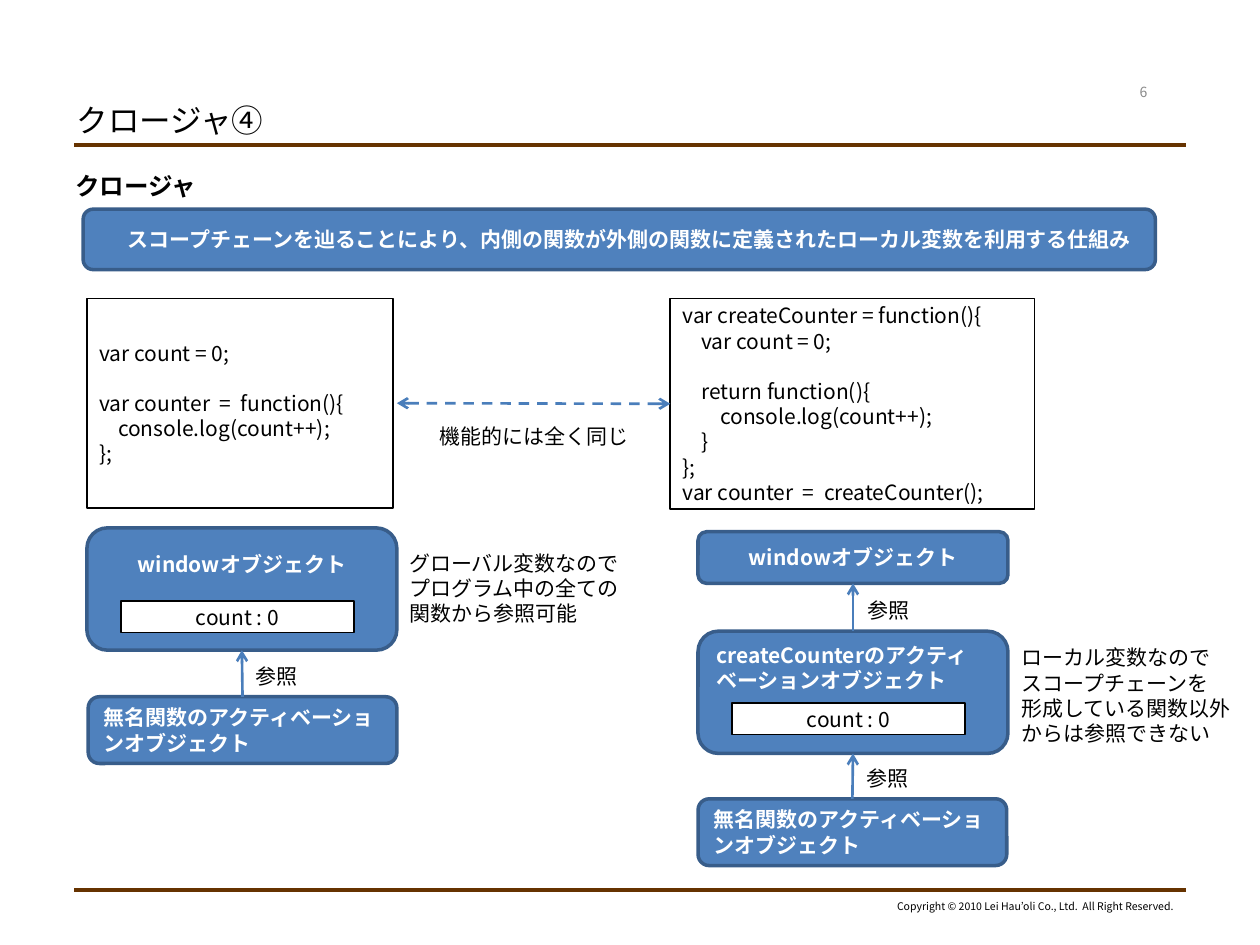
"""Build the slide that compares a global counter with a closure counter."""
from lxml import etree
from pptx import Presentation
from pptx import util as u
from pptx.dml.color import RGBColor
from pptx.enum import dml, shapes, text
from pptx.oxml.ns import qn

BLACK = RGBColor(0x00, 0x00, 0x00)
WHITE = RGBColor(0xFF, 0xFF, 0xFF)
GRAY = RGBColor(0x89, 0x89, 0x89)
BROWN = RGBColor(0x66, 0x33, 0x00)
BLUE = RGBColor(0x4F, 0x81, 0xBD)
NAVY = RGBColor(0x38, 0x5D, 0x8A)
ARROW_BLUE = RGBColor(0x4A, 0x7E, 0xBB)

SANS = "Noto Sans CJK JP"
MONO = "Courier New"
LEFT, CENTER, RIGHT = text.PP_ALIGN.LEFT, text.PP_ALIGN.CENTER, text.PP_ALIGN.RIGHT
TOP, MIDDLE = text.MSO_ANCHOR.TOP, text.MSO_ANCHOR.MIDDLE
TOP_SIDE, BOTTOM_SIDE = 0, 2

GLOBAL_CODE = """var count = 0;

var counter  =  function(){
    console.log(count++);
};"""
CLOSURE_CODE = """var createCounter = function(){
    var count = 0;

    return function(){
        console.log(count++);
    }
};
var counter  =  createCounter();"""
ANONYMOUS = "無名関数のアクティベーションオブジェクト"


def write(frame, words, size=12, font=SANS, color=BLACK, bold=False,
          align=LEFT, anchor=TOP, wrap=True, inset=0.05):
    """Fill a text frame, one paragraph to a line, in a single format."""
    frame.word_wrap = wrap
    frame.vertical_anchor = anchor
    frame.margin_left = frame.margin_right = u.Inches(0.1)
    frame.margin_top, frame.margin_bottom = u.Inches(inset), u.Inches(0.05)
    for number, line in enumerate(words.split("\n")):
        paragraph = frame.add_paragraph() if number else frame.paragraphs[0]
        paragraph.alignment = align
        if not line:
            etree.SubElement(paragraph._p, qn("a:endParaRPr"), sz=str(size * 100))
            continue
        run = paragraph.add_run()
        run.text = line
        run.font.size = u.Pt(size)
        run.font.bold = bold
        run.font.color.rgb = color
        run.font.name = font
        etree.SubElement(run._r.get_or_add_rPr(), qn("a:ea"), typeface=SANS)


class Board:
    """Hold the style and the current slide."""

    def __init__(self, slide):
        self.slide = slide
        self.border = {"object": 2, "plain": 1}
        self.arrow_width = 1.5
        self.rule_width = 2.25

    def label(self, words, left, top, width, height, **style):
        """Add a text box."""
        box = self.slide.shapes.add_textbox(*map(u.Inches, (left, top, width, height)))
        write(box.text_frame, words, **style)

    def outline(self, preset, place, fill, line, width):
        """Add a preset shape with its fill and border."""
        shape = self.slide.shapes.add_shape(preset, *map(u.Inches, place))
        shape.shadow.inherit = False
        if fill is None:
            shape.fill.background()
        else:
            shape.fill.solid()
            shape.fill.fore_color.rgb = fill
        shape.line.color.rgb = line
        shape.line.width = u.Pt(width)
        return shape

    def object_box(self, words, *place, **style):
        """Add a blue rounded box with bold white text."""
        shape = self.outline(shapes.MSO_SHAPE.ROUNDED_RECTANGLE, place, BLUE, NAVY,
                             self.border["object"])
        write(shape.text_frame, words, color=WHITE, bold=True,
              **{"anchor": MIDDLE, **style})
        return shape

    def plain_box(self, words, *place, fill=None, align=LEFT):
        """Add a black-bordered rectangle."""
        shape = self.outline(shapes.MSO_SHAPE.RECTANGLE, place, fill, BLACK,
                             self.border["plain"])
        write(shape.text_frame, words, anchor=MIDDLE, align=align)
        return shape

    def line(self, start, end, color, width):
        """Add a straight connector."""
        link = self.slide.shapes.add_connector(
            shapes.MSO_CONNECTOR.STRAIGHT, *map(u.Inches, (*start, *end)))
        link.line.color.rgb = color
        link.line.width = u.Pt(width)
        etree.SubElement(link._element.spPr, qn("a:effectLst"))
        return link

    def rule(self, height):
        """Add a brown line across the slide."""
        self.line((0.59, height), (9.41, height), BROWN, self.rule_width)

    def arrow(self, start, end, both=False):
        """Add a blue arrow, dashed when it points both ways."""
        link = self.line(start, end, ARROW_BLUE, self.arrow_width)
        if both:
            link.line.dash_style = dml.MSO_LINE.DASH
        for tip in ("a:headEnd", "a:tailEnd") if both else ("a:tailEnd",):
            etree.SubElement(link.line._get_or_add_ln(), qn(tip), type="arrow")
        return link

    def reference(self, source, target, left, top):
        """Join two objects with an upward arrow and its label."""
        link = self.arrow((0, 0), (0, 0))
        link.begin_connect(source, TOP_SIDE)
        link.end_connect(target, BOTTOM_SIDE)
        self.label("参照", left, top, 0.53, 0.3, font=MONO, wrap=False)


def main():
    """Draw the slide and save it."""
    deck = Presentation()
    deck.slide_width, deck.slide_height = u.Inches(10), u.Inches(7.5)
    board = Board(deck.slides.add_slide(deck.slide_layouts[6]))

    for height in (1.15, 7.06):
        board.rule(height)
    board.label("Copyright © 2010 Lei Hau’oli Co., Ltd.  All Right Reserved.",
                6.99, 7.09, 2.42, 0.2, size=6, align=RIGHT, wrap=False)
    board.label("クロージャ④", 0.51, 0.76, 5.68, 0.39, size=18, anchor=MIDDLE)
    board.label("6", 8.78, 0.61, 0.59, 0.24, size=8, color=GRAY,
                align=CENTER, anchor=MIDDLE)
    board.label("クロージャ", 0.5, 1.31, 9, 0.35, size=14, bold=True)
    board.object_box(
        "　スコープチェーンを辿ることにより、内側の関数が外側の関数に定義されたローカル変数を利用する仕組み",
        0.66, 1.66, 8.51, 0.48, align=CENTER)

    board.plain_box(GLOBAL_CODE, 0.69, 2.37, 2.43, 1.66)
    closure_code = board.plain_box(CLOSURE_CODE, 5.32, 2.37, 2.89, 1.67)
    same = board.arrow((3.15, 3.2), (5.32, 3.2), both=True)
    same.end_connect(closure_code, 1)
    board.label("機能的には全く同じ", 3.39, 3.31, 1.7, 0.3, font=MONO, wrap=False)

    global_window = board.object_box("windowオブジェクト", 0.69, 4.19, 2.46, 0.97,
                                     align=CENTER, anchor=TOP, inset=0.14)
    global_anonymous = board.object_box(ANONYMOUS, 0.7, 5.53, 2.45, 0.53)
    closure_window = board.object_box("windowオブジェクト", 5.54, 4.22, 2.46, 0.41,
                                      align=CENTER)
    activation = board.object_box("createCounterのアクティベーションオブジェクト",
                                  5.54, 5.01, 2.46, 0.97, anchor=TOP, inset=0.04)
    closure_anonymous = board.object_box(ANONYMOUS, 5.54, 6.34, 2.45, 0.53)
    for left, top in ((0.96, 4.77), (5.81, 5.58)):
        board.plain_box("count : 0", left, top, 1.85, 0.25, fill=WHITE, align=CENTER)

    board.reference(global_anonymous, global_window, 1.93, 5.22)
    board.reference(activation, closure_window, 6.79, 4.69)
    board.reference(closure_anonymous, activation, 6.78, 6.03)

    board.label("グローバル変数なので\nプログラム中の全ての\n関数から参照可能",
                3.15, 4.32, 1.9, 0.7, font=MONO)
    board.label("ローカル変数なので\nスコープチェーンを\n形成している関数以外からは参照できない",
                8.01, 5.07, 1.9, 0.9, font=MONO)
    deck.save("out.pptx")


if __name__ == "__main__":
    main()
